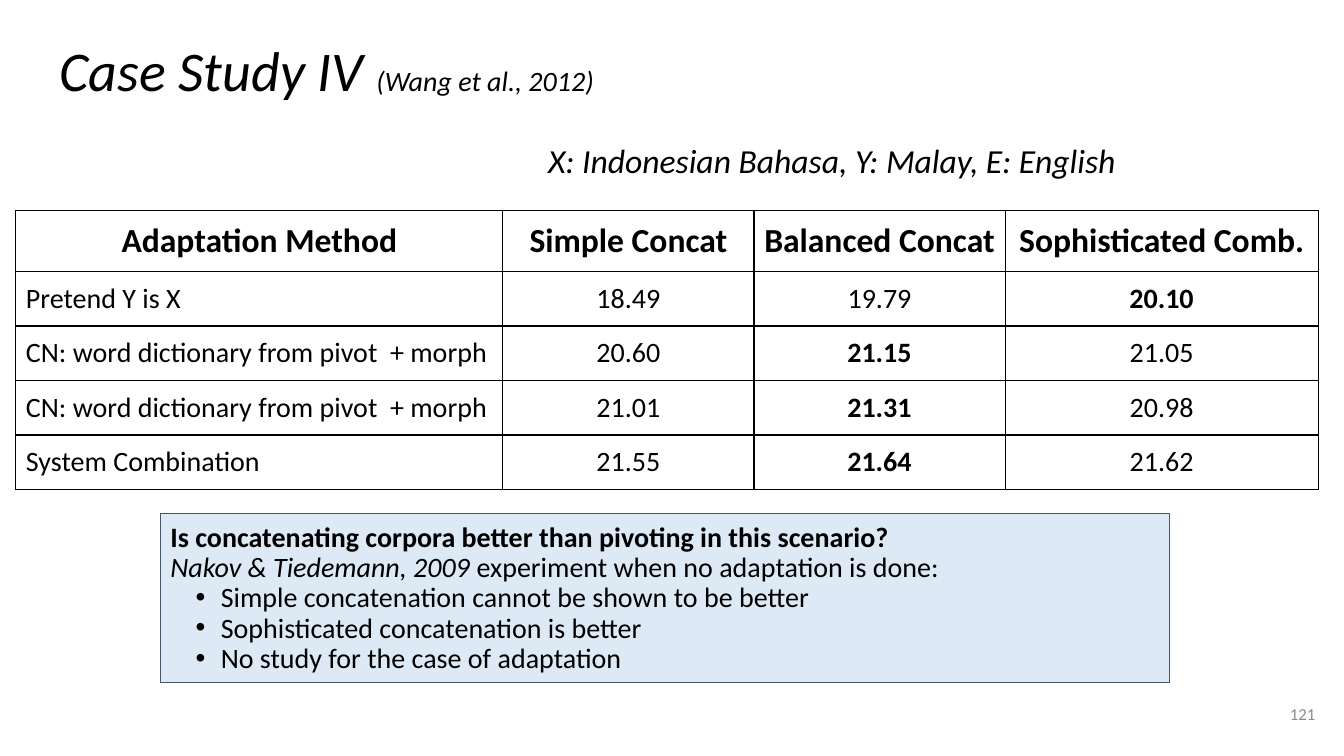
from lxml.etree import SubElement
from pptx import Presentation
from pptx.dml.color import RGBColor
from pptx.enum.text import MSO_ANCHOR, MSO_AUTO_SIZE, PP_ALIGN
from pptx.oxml.ns import qn
from pptx.util import Pt

BLACK = RGBColor(0x00, 0x00, 0x00)
GREY = RGBColor(0x8C, 0x8C, 0x8C)
PALE_BLUE = RGBColor(0xBD, 0xD7, 0xEE)
SLATE = RGBColor(0x44, 0x54, 0x6A)
FONT = "Calibri"
INSET = Pt(7.2)
INDENT = Pt(18)

COLUMN_WIDTHS = (347.9, 179.4, 179.4, 223.6)
HEADER_HEIGHT = 43.6
ROW_HEIGHT = 38.9
HEADINGS = ("Adaptation Method", "Simple Concat", "Balanced Concat", "Sophisticated Comb.")
SCORES = (
    ("Pretend Y is X", "18.49", "19.79", "20.10"),
    ("CN: word dictionary from pivot  + morph", "20.60", "21.15", "21.05"),
    ("CN: word dictionary from pivot  + morph", "21.01", "21.31", "20.98"),
    ("System Combination", "21.55", "21.64", "21.62"),
)
QUESTION = "Is concatenating corpora better than pivoting in this scenario?"
FINDINGS = (
    "Simple concatenation cannot be shown to be better",
    "Sophisticated concatenation is better",
    "No study for the case of adaptation",
)


def set_attributes(target, values):
    """Set each named attribute of the target."""
    for name, value in values.items():
        setattr(target, name, value)


def add_span(para, text, size, color=BLACK, bold=False, italic=False):
    """Add a formatted run to a paragraph."""
    span = para.add_run()
    span.text = text
    set_attributes(span.font, {"name": FONT, "size": Pt(size), "bold": bold, "italic": italic})
    span.font.color.rgb = color


def place(box, left, top, width, height):
    """Put a shape at a position given in points."""
    set_attributes(box, {"left": Pt(left), "top": Pt(top), "width": Pt(width), "height": Pt(height)})


def format_frame(frame, anchor=MSO_ANCHOR.TOP, wrap=True):
    """Give a text frame its margins, anchor and wrapping."""
    set_attributes(frame, {
        "margin_left": INSET, "margin_right": INSET, "margin_top": INSET, "margin_bottom": INSET,
        "vertical_anchor": anchor, "word_wrap": wrap, "auto_size": MSO_AUTO_SIZE.NONE,
    })


def format_title(box):
    """Fill the title placeholder."""
    place(box, 35.3, 23.8, 671, 74.2)
    format_frame(box.text_frame)
    para = box.text_frame.paragraphs[0]
    set_attributes(para, {"alignment": PP_ALIGN.LEFT, "line_spacing": 0.9})
    add_span(para, "Case Study IV ", 40, italic=True)
    add_span(para, "(Wang et al., 2012)", 20, italic=True)


def add_label(page, bounds, text, size, color=BLACK, italic=False,
              align=PP_ALIGN.LEFT, anchor=MSO_ANCHOR.TOP, wrap=True):
    """Add a text box with one line of text."""
    box = page.shapes.add_textbox(*(Pt(length) for length in bounds))
    format_frame(box.text_frame, anchor, wrap)
    para = box.text_frame.paragraphs[0]
    para.alignment = align
    add_span(para, text, size, color, italic=italic)
    return box


def add_borders(cell):
    """Draw a thin black line on all four sides of a cell."""
    properties = cell._tc.get_or_add_tcPr()
    for side in ("a:lnL", "a:lnR", "a:lnT", "a:lnB"):
        line = SubElement(properties, qn(side), w=str(Pt(1)))
        fill = SubElement(line, qn("a:solidFill"))
        SubElement(fill, qn("a:srgbClr"), val=str(BLACK))


def fill_cell(cell, text, size, bold, align):
    """Write and format one table cell."""
    set_attributes(cell, {"margin_left": INSET, "margin_right": INSET,
                          "margin_top": INSET, "margin_bottom": INSET})
    para = cell.text_frame.paragraphs[0]
    para.alignment = align
    add_span(para, text, size, bold=bold)
    add_borders(cell)
    cell.fill.background()


def add_score_table(page):
    """Add the score table with the best score of each row in bold."""
    height = HEADER_HEIGHT + ROW_HEIGHT * len(SCORES)
    table = page.shapes.add_table(
        len(SCORES) + 1, len(HEADINGS), Pt(11.3), Pt(150.3), Pt(sum(COLUMN_WIDTHS)), Pt(height)
    ).table
    table.horz_banding = False
    for column, width in zip(table.columns, COLUMN_WIDTHS):
        column.width = Pt(width)
    for row in table.rows:
        row.height = Pt(ROW_HEIGHT)
    table.rows[0].height = Pt(HEADER_HEIGHT)
    for cell, heading in zip(table.rows[0].cells, HEADINGS):
        fill_cell(cell, heading, 24, True, PP_ALIGN.CENTER)
    for index, (method, *scores) in enumerate(SCORES, 1):
        fill_cell(table.cell(index, 0), method, 20, False, PP_ALIGN.LEFT)
        best = max(scores, key=float)
        for column, score in enumerate(scores, 1):
            fill_cell(table.cell(index, column), score, 20, score == best, PP_ALIGN.CENTER)


def format_list_para(para, level, bullet=None):
    """Set the spacing, hanging indent and bullet of a paragraph."""
    set_attributes(para, {"alignment": PP_ALIGN.LEFT, "line_spacing": 0.9,
                          "space_before": Pt(0), "space_after": Pt(0)})
    properties = para._p.get_or_add_pPr()
    properties.set("marL", str(INDENT * level))
    properties.set("indent", str(-INDENT))
    if bullet:
        SubElement(properties, qn("a:buChar"), char=bullet)
    else:
        SubElement(properties, qn("a:buNone"))


def format_findings(box):
    """Fill the body placeholder with the question and its findings."""
    place(box, 114.5, 366.5, 720.7, 121)
    box.fill.solid()
    box.fill.fore_color.rgb = PALE_BLUE
    color = box._element.spPr.find(f"{qn('a:solidFill')}/{qn('a:srgbClr')}")
    SubElement(color, qn("a:alpha"), val="50000")
    box.line.color.rgb = SLATE
    box.line.width = Pt(0.75)
    frame = box.text_frame
    format_frame(frame)
    question = frame.paragraphs[0]
    format_list_para(question, 1)
    add_span(question, QUESTION, 20, bold=True)
    experiment = frame.add_paragraph()
    format_list_para(experiment, 1)
    add_span(experiment, "Nakov & Tiedemann, 2009 ", 20, italic=True)
    add_span(experiment, "experiment when no adaptation is done:", 20)
    for finding in FINDINGS:
        para = frame.add_paragraph()
        format_list_para(para, 2, "•")
        add_span(para, finding, 20)


def main():
    """Build the slide and save the deck."""
    deck = Presentation()
    set_attributes(deck, {"slide_width": Pt(960), "slide_height": Pt(540)})
    page = deck.slides.add_slide(deck.slide_layouts[1])
    format_findings(page.placeholders[1])
    add_score_table(page)
    languages = add_label(page, (384.5, 96.5, 424, 36), "X: Indonesian Bahasa, Y: Malay, E: English",
                          24, italic=True, wrap=False)
    set_attributes(languages.text_frame, {"margin_top": Pt(3.6), "margin_bottom": Pt(3.6),
                                          "auto_size": MSO_AUTO_SIZE.SHAPE_TO_FIT_TEXT})
    format_title(page.shapes.title)
    add_label(page, (889.2, 489.6, 57.6, 41), "121", 12, GREY,
              align=PP_ALIGN.RIGHT, anchor=MSO_ANCHOR.MIDDLE)
    deck.save("out.pptx")


if __name__ == "__main__":
    main()
